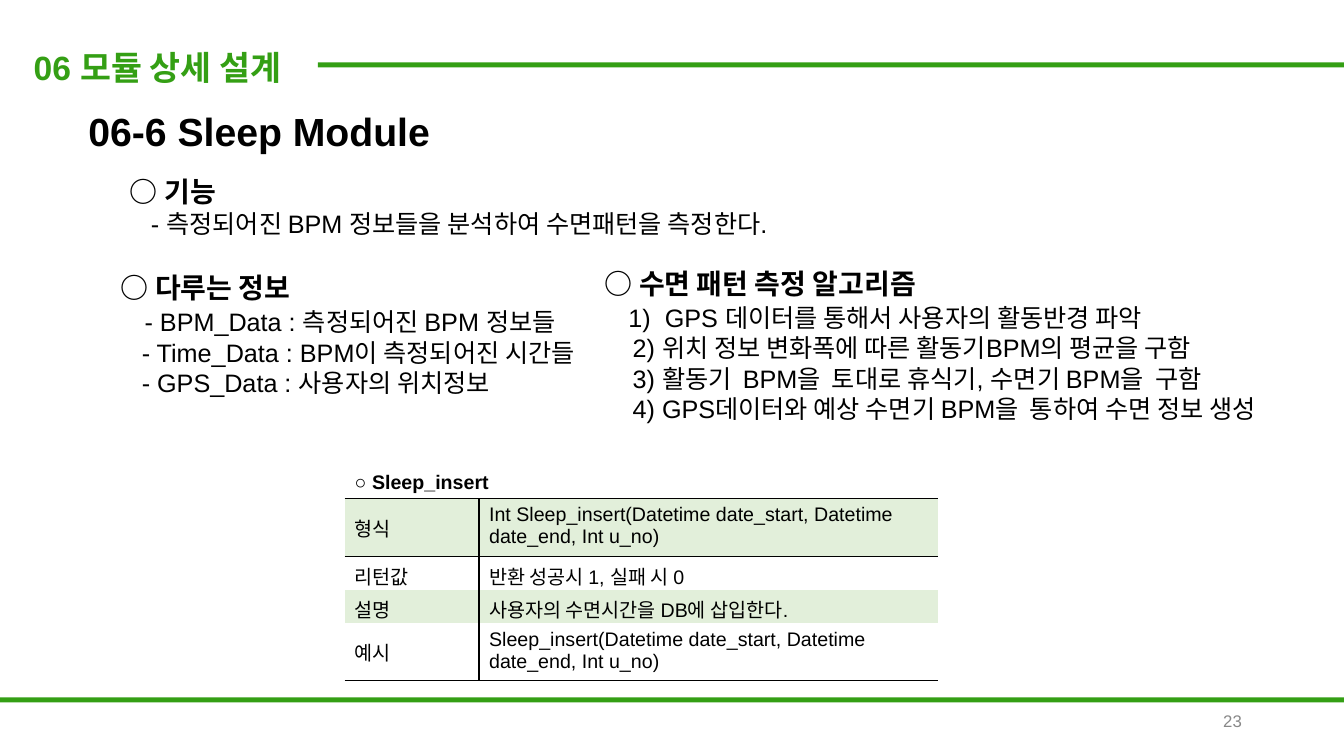
from lxml import etree
from pptx import Presentation
from pptx.dml.color import RGBColor
from pptx.enum.shapes import MSO_SHAPE
from pptx.enum.text import MSO_ANCHOR, PP_ALIGN
from pptx.oxml.ns import qn
from pptx.util import Pt

RECTANGLE = MSO_SHAPE.RECTANGLE
TOP, MIDDLE, BOTTOM = MSO_ANCHOR.TOP, MSO_ANCHOR.MIDDLE, MSO_ANCHOR.BOTTOM
LEFT, RIGHT = PP_ALIGN.LEFT, PP_ALIGN.RIGHT

SLIDE_WIDTH, SLIDE_HEIGHT = 960, 540
FONT = "Arial"
GREEN, BLACK, GRAY, PALE_GREEN = "349F14", "000000", "888888", "E2EFDA"

FUNCTION_ITEMS = [(15, "- 측정되어진 BPM 정보들을 분석하여 수면패턴을 측정한다.")]
DATA_ITEMS = [
    (17, "- BPM_Data : 측정되어진 BPM 정보들"),
    (15, "- Time_Data : BPM이 측정되어진 시간들"),
    (15, "- GPS_Data : 사용자의 위치정보"),
]
ALGORITHM_ITEMS = [
    (17, "1)  GPS 데이터를 통해서 사용자의 활동반경 파악"),
    (20, "2) 위치 정보 변화폭에 따른 활동기BPM의 평균을 구함"),
    (20, "3) 활동기  BPM을  토대로 휴식기, 수면기 BPM을  구함"),
    (20, "4) GPS데이터와 예상 수면기 BPM을  통하여 수면 정보 생성"),
]
SPEC_ROWS = [
    ("형식", "Int Sleep_insert(Datetime date_start, Datetime date_end, Int u_no)"),
    ("리턴값", "반환 성공시 1, 실패 시 0"),
    ("설명", "사용자의 수면시간을 DB에 삽입한다."),
    ("예시", "Sleep_insert(Datetime date_start, Datetime date_end, Int u_no)"),
]
SPEC_COLUMNS = (96, 327.5)
SPEC_HEIGHTS = (33, 41, 24, 24, 41)


def rgb(color):
    return RGBColor.from_string(color)


def write(paragraph, text, size=18, bold=False, color=BLACK, align=LEFT,
          indent=0, before=0):
    if indent:
        paragraph._p.get_or_add_pPr().set("marL", str(Pt(indent)))
    if before:
        paragraph.space_before = Pt(before)
    paragraph.alignment = align
    run = paragraph.add_run()
    run.text = text
    run.font.name = FONT
    run.font.size = Pt(size)
    run.font.bold = bold
    run.font.color.rgb = rgb(color)


def add_text_frame(slide, left, top, width, height, anchor=TOP):
    frame = slide.shapes.add_textbox(Pt(left), Pt(top), Pt(width), Pt(height)).text_frame
    frame.word_wrap = True
    frame.vertical_anchor = anchor
    return frame


def add_rule(slide, left, top, width):
    rule = slide.shapes.add_shape(RECTANGLE, Pt(left), Pt(top), Pt(width), Pt(3.6))
    rule.shadow.inherit = False
    rule.fill.solid()
    rule.fill.fore_color.rgb = rgb(GREEN)
    rule.line.fill.background()


def add_header(slide, left, top, width, height):
    """Chapter title with a rule running on to the slide's right edge."""
    rule_left = left + width
    add_rule(slide, rule_left, top + 14.6, SLIDE_WIDTH - rule_left)
    frame = add_text_frame(slide, left, top, width, height)
    write(frame.paragraphs[0], "06 모듈 상세 설계", size=24, bold=True, color=GREEN)


def add_footer(slide, top):
    add_rule(slide, 0, top, SLIDE_WIDTH)
    frame = add_text_frame(slide, 678.2, top + 2.2, 216, 28.8, MIDDLE)
    write(frame.paragraphs[0], "23", size=12, color=GRAY, align=RIGHT)


def add_topic(slide, left, top, width, height, heading, items, gap=0):
    """Bold heading over indented items; gap is the space above the first item."""
    frame = add_text_frame(slide, left, top, width, height)
    write(frame.paragraphs[0], f"○ {heading}", size=20, bold=True)
    for number, (indent, text) in enumerate(items):
        write(frame.add_paragraph(), text, indent=indent, before=0 if number else gap)


def set_borders(cell, sides):
    """Draw the sides named out of L, R, T and B; clear the others."""
    properties = cell._tc.get_or_add_tcPr()
    for position, side in enumerate("LRTB"):
        line = etree.Element(qn(f"a:ln{side}"), w=str(Pt(1)))
        if side in sides:
            fill = etree.SubElement(line, qn("a:solidFill"))
            etree.SubElement(fill, qn("a:srgbClr"), val=BLACK)
        else:
            etree.SubElement(line, qn("a:noFill"))
        properties.insert(position, line)


def fill_cell(cell, text, anchor=TOP, fill=None, borders="", bold=False):
    write(cell.text_frame.paragraphs[0], text, size=14, bold=bold)
    cell.vertical_anchor = anchor
    if fill:
        cell.fill.solid()
        cell.fill.fore_color.rgb = rgb(fill)
    else:
        cell.fill.background()
    set_borders(cell, borders)


def add_spec_table(slide, left, top):
    table = slide.shapes.add_table(
        len(SPEC_HEIGHTS), len(SPEC_COLUMNS), Pt(left), Pt(top),
        Pt(sum(SPEC_COLUMNS)), Pt(sum(SPEC_HEIGHTS))).table
    table.first_row = table.horz_banding = False
    for column, width in zip(table.columns, SPEC_COLUMNS):
        column.width = Pt(width)
    for row, height in zip(table.rows, SPEC_HEIGHTS):
        row.height = Pt(height)

    caption = table.cell(0, 0)
    caption.merge(table.cell(0, 1))
    fill_cell(caption, "○ Sleep_insert", anchor=BOTTOM, borders="B", bold=True)
    set_borders(table.cell(0, 1), "B")
    ruled = {1: "TB", 2: "T", len(SPEC_ROWS): "B"}
    for number, (label, value) in enumerate(SPEC_ROWS, start=1):
        fill = PALE_GREEN if number % 2 else None
        borders = ruled.get(number, "")
        if number == len(SPEC_ROWS):
            fill = None
        fill_cell(table.cell(number, 0), label, MIDDLE, fill, borders + "R")
        fill_cell(table.cell(number, 1), value, TOP, fill, borders + "L")


def add_module_slide(presentation):
    slide = presentation.slides.add_slide(presentation.slide_layouts[6])
    add_header(slide, 17, 30, 210, 36)
    add_footer(slide, 498.2)
    module = add_text_frame(slide, 56, 73.4, 816, 41)
    write(module.paragraphs[0], "06-6 Sleep Module", size=28, bold=True)
    add_topic(slide, 85.7, 121, 757, 53, "기능", FUNCTION_ITEMS)
    add_topic(slide, 79.2, 189.4, 757, 99, "다루는 정보", DATA_ITEMS, gap=2)
    add_topic(slide, 424.8, 186.5, 535.2, 121, "수면 패턴 측정 알고리즘",
              ALGORITHM_ITEMS, gap=2)
    add_spec_table(slide, 246.2, 323.3)


def main():
    presentation = Presentation()
    presentation.slide_width = Pt(SLIDE_WIDTH)
    presentation.slide_height = Pt(SLIDE_HEIGHT)
    add_module_slide(presentation)
    presentation.save("out.pptx")


if __name__ == "__main__":
    main()
